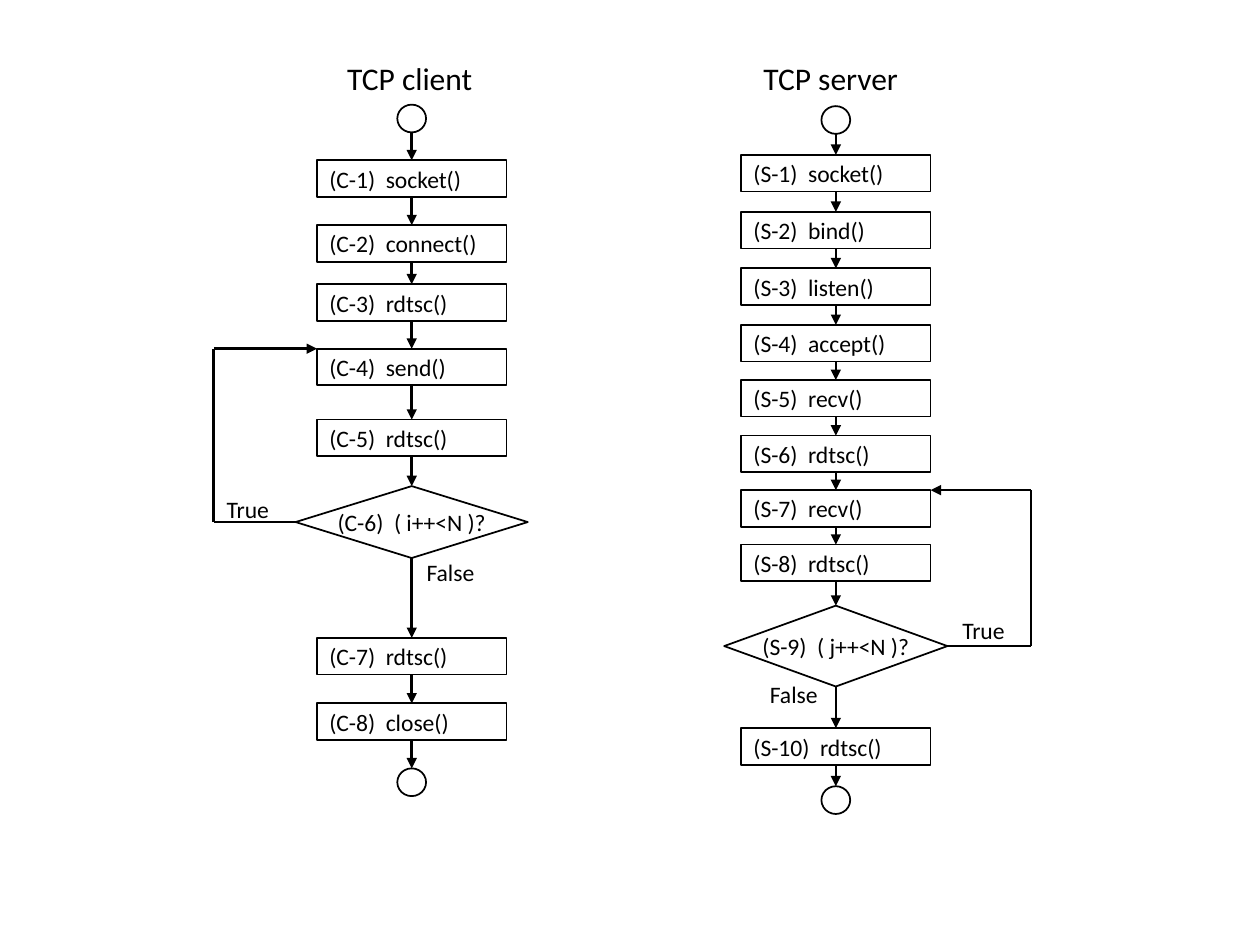
"""Draw the TCP client and TCP server flowcharts side by side."""
import dataclasses
import itertools
import typing

import pptx
import pptx.dml.color
import pptx.enum.shapes
import pptx.enum.text
import pptx.oxml.ns
import pptx.shapes.shapetree
import pptx.util
from lxml import etree

Cm = pptx.util.Cm
Pt = pptx.util.Pt
Kind = pptx.enum.shapes.MSO_SHAPE
Align = pptx.enum.text.PP_ALIGN
Anchor = pptx.enum.text.MSO_ANCHOR
Shapes = pptx.shapes.shapetree.GroupShapes


@dataclasses.dataclass(frozen=True)
class Theme:
    ink: pptx.dml.color.RGBColor = pptx.dml.color.RGBColor(0, 0, 0)
    paper: pptx.dml.color.RGBColor = pptx.dml.color.RGBColor(255, 255, 255)
    font: str = "Calibri"
    heading_size: float = 18
    body_size: float = 13.5
    outline: float = 1
    arrow: float = 1.5


@dataclasses.dataclass(frozen=True)
class Step:
    top: float
    text: str = ""
    kind: Kind = Kind.RECTANGLE
    width: float = 3.82
    height: float = 0.74

    @property
    def bottom(self) -> float:
        return self.top + self.height


@dataclasses.dataclass(frozen=True)
class Label:
    text: str
    left: float
    top: float
    width: float
    height: float = 0.84
    size: float = 13.5


@dataclasses.dataclass(frozen=True)
class Flow:
    center: float
    steps: list[Step]
    labels: list[Label]
    loop_target: int
    loop_x: float


THEME = Theme()


def terminal(top: float) -> Step:
    return Step(top, kind=Kind.OVAL, width=0.58, height=0.56)


def decision(top: float, text: str, width: float, height: float) -> Step:
    return Step(top, text, Kind.DIAMOND, width, height)


def heading(text: str, left: float, width: float) -> Label:
    return Label(text, left, 1.07, width, 1.02, THEME.heading_size)


FLOWS = [
    Flow(
        center=8.3,
        steps=[
            terminal(2.11),
            Step(3.23, "(C-1)  socket()"),
            Step(4.54, "(C-2)  connect()"),
            Step(5.73, "(C-3)  rdtsc()"),
            Step(7.03, "(C-4)  send()"),
            Step(8.46, "(C-5)  rdtsc()"),
            decision(9.8, "(C-6)  ( i++<N )?", 4.68, 1.45),
            Step(12.86, "(C-7)  rdtsc()"),
            Step(14.18, "(C-8)  close()"),
            terminal(15.49),
        ],
        labels=[
            heading("TCP client", 6.75, 3.05),
            Label("True", 4.32, 9.86, 1.4),
            Label("False", 8.35, 11.12, 1.65),
        ],
        loop_target=4,
        loop_x=4.31,
    ),
    Flow(
        center=16.85,
        steps=[
            terminal(2.14),
            Step(3.12, "(S-1)  socket()"),
            Step(4.27, "(S-2)  bind()"),
            Step(5.41, "(S-3)  listen()"),
            Step(6.55, "(S-4)  accept()"),
            Step(7.66, "(S-5)  recv()"),
            Step(8.78, "(S-6)  rdtsc()"),
            Step(9.88, "(S-7)  recv()"),
            Step(10.98, "(S-8)  rdtsc()"),
            decision(12.21, "(S-9)  ( j++<N )?", 4.5, 1.63),
            Step(14.68, "(S-10)  rdtsc()"),
            terminal(15.85),
        ],
        labels=[
            heading("TCP server", 15.14, 3.38),
            Label("True", 19.15, 12.29, 1.4),
            Label("False", 15.27, 13.59, 1.63),
        ],
        loop_target=7,
        loop_x=20.78,
    ),
]


def set_values(target: typing.Any, values: dict[str, typing.Any]) -> None:
    for name, value in values.items():
        setattr(target, name, value)


def write(shape: typing.Any, text: str, size: float, frame: dict, align: Align) -> None:
    set_values(shape.text_frame, frame)
    paragraph = shape.text_frame.paragraphs[0]
    paragraph.alignment = align
    run = paragraph.add_run()
    run.text = text
    set_values(run.font, {"name": THEME.font, "size": Pt(size)})
    run.font.color.rgb = THEME.ink


def draw_step(shapes: Shapes, step: Step, center: float) -> None:
    left = center - step.width / 2
    shape = shapes.add_shape(
        step.kind, Cm(left), Cm(step.top), Cm(step.width), Cm(step.height)
    )
    shape.shadow.inherit = False
    shape.line.color.rgb = THEME.ink
    shape.line.width = Pt(THEME.outline)
    if not step.text:
        shape.fill.background()
        return
    shape.fill.solid()
    shape.fill.fore_color.rgb = THEME.paper
    is_box = step.kind == Kind.RECTANGLE
    frame = {"word_wrap": is_box, "vertical_anchor": Anchor.MIDDLE}
    write(shape, step.text, THEME.body_size, frame, Align.LEFT if is_box else Align.CENTER)


def draw_label(shapes: Shapes, label: Label) -> None:
    box = shapes.add_textbox(
        Cm(label.left), Cm(label.top), Cm(label.width), Cm(label.height)
    )
    write(box, label.text, label.size, {"word_wrap": False}, Align.LEFT)


def draw_route(shapes: Shapes, points: list[tuple[float, float]]) -> None:
    for start, end in itertools.pairwise(points):
        connector = shapes.add_connector(
            pptx.enum.shapes.MSO_CONNECTOR.STRAIGHT, *map(Cm, start + end)
        )
        connector.line.color.rgb = THEME.ink
        connector.line.width = Pt(THEME.arrow)
        properties = connector.element.spPr
        etree.SubElement(properties, pptx.oxml.ns.qn("a:effectLst"))
        if end == points[-1]:
            outline = properties.find(pptx.oxml.ns.qn("a:ln"))
            etree.SubElement(outline, pptx.oxml.ns.qn("a:tailEnd"), type="triangle")


def draw_flow(shapes: Shapes, flow: Flow) -> None:
    for step in flow.steps:
        draw_step(shapes, step, flow.center)
    for upper, lower in itertools.pairwise(flow.steps):
        draw_route(shapes, [(flow.center, upper.bottom), (flow.center, lower.top)])
    test = next(step for step in flow.steps if step.kind == Kind.DIAMOND)
    target = flow.steps[flow.loop_target]
    side = 1 if flow.loop_x > flow.center else -1
    test_y = test.top + test.height / 2
    draw_route(shapes, [
        (flow.center + side * test.width / 2, test_y),
        (flow.loop_x, test_y),
        (flow.loop_x, target.top),
        (flow.center + side * target.width / 2, target.top),
    ])
    for label in flow.labels:
        draw_label(shapes, label)


presentation = pptx.Presentation()
set_values(presentation, {"slide_width": Cm(25.4), "slide_height": Cm(19.05)})
slide = presentation.slides.add_slide(presentation.slide_layouts[6])
for flow in FLOWS:
    draw_flow(slide.shapes.add_group_shape().shapes, flow)
presentation.save("out.pptx")
